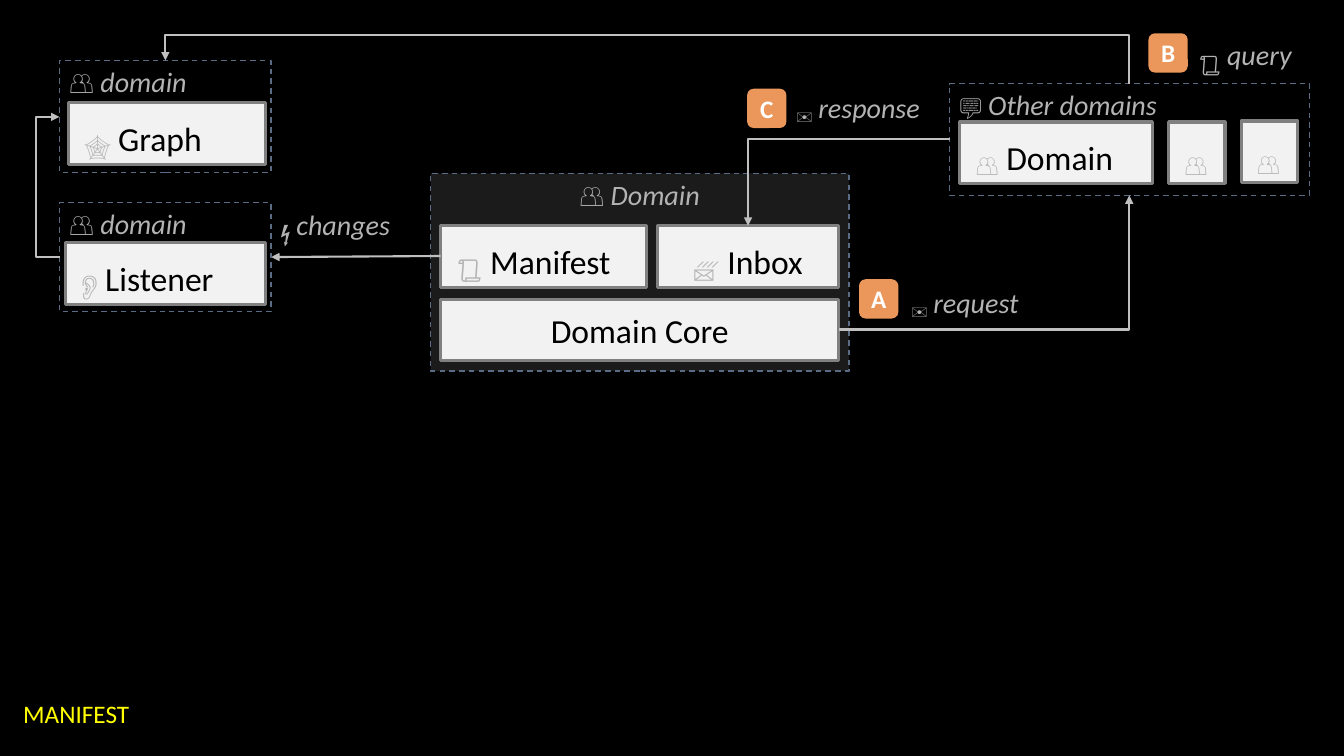
from lxml import etree
from pptx import Presentation
from pptx import util as u
from pptx.dml.color import RGBColor
from pptx.enum import dml, shapes, text
from pptx.oxml import ns

COLORS = {
    "background": "000000", "tile": "F2F2F2", "tile_edge": "808080",
    "zone_edge": "5A6B86", "core_zone": "808080", "muted": "B3B3B3",
    "ink": "000000", "arrow": "BFBFBF", "badge": "EB975C",
    "light": "FFFFFF", "title": "FFFF00",
}
FONT = "Calibri"
LEFT, CENTER = text.PP_ALIGN.LEFT, text.PP_ALIGN.CENTER
TOP, MIDDLE = text.MSO_ANCHOR.TOP, text.MSO_ANCHOR.MIDDLE


def rgb(name):
    return RGBColor.from_string(COLORS[name])


def sub(parent, tag, **attributes):
    return etree.SubElement(parent, ns.qn(tag), attributes)


def write(frame, pieces, align=LEFT, anchor=TOP, insets=(0.1, 0.05, 0.1, 0.05), wrap=True):
    frame.word_wrap = wrap
    frame.vertical_anchor = anchor
    (frame.margin_left, frame.margin_top,
     frame.margin_right, frame.margin_bottom) = map(u.Inches, insets)
    paragraph = frame.paragraphs[0]
    paragraph.alignment = align
    for words, size, color, style in pieces:
        run = paragraph.add_run()
        run.text = words
        run.font.name = FONT
        run.font.size = u.Pt(size)
        run.font.color.rgb = rgb(color)
        run.font.italic = style == "italic"
        run.font.bold = style == "bold"
        if isinstance(style, int):
            run.font._element.set("baseline", str(style * 1000))


def box(parent, place, fill=None, edge=None, width=1, kind=shapes.MSO_SHAPE.RECTANGLE):
    outline = parent.add_shape(kind, *map(u.Inches, place))
    outline.shadow.inherit = False
    if fill:
        outline.fill.solid()
        outline.fill.fore_color.rgb = rgb(fill)
    else:
        outline.fill.background()
    if edge:
        outline.line.color.rgb = rgb(edge)
        outline.line.width = u.Pt(width)
    else:
        outline.line.fill.background()
    return outline


def zone(parent, place, icon, caption, icon_size=20, align=LEFT, fill=None, opacity=None):
    frame = box(parent, place, fill, "zone_edge")
    frame.line.dash_style = dml.MSO_LINE.DASH
    if opacity:
        tint = frame.element.spPr.find(ns.qn("a:solidFill"))[0]
        sub(tint, "a:alpha", val=str(opacity * 1000))
    write(frame.text_frame,
          [(icon, icon_size, "muted", None), (caption, 20, "muted", "italic")],
          align, insets=(0.1, 0.04, 0.1, 0.05))


def tile(parent, left, top, width, caption, icon=None, align=LEFT):
    card = box(parent, (left, top, width, 0.61), "tile", "tile_edge", 2.25)
    pieces = [(icon, 32, "muted", -9)] if icon else []
    pieces.append((caption, 24, "ink", None))
    write(card.text_frame, pieces, align, MIDDLE, (0.16,) * 4)


def badge(parent, left, top, letter):
    mark = box(parent, (left, top, 0.39, 0.39), "badge",
               kind=shapes.MSO_SHAPE.ROUNDED_RECTANGLE)
    write(mark.text_frame, [(letter, 18, "light", "bold")], CENTER, MIDDLE, (0.05,) * 4)


def message(parent, left, top, width, icon, caption):
    label = parent.add_textbox(*map(u.Inches, (left, top, width, 0.44)))
    write(label.text_frame,
          [(icon, 28, "muted", -17), (" ", 18, "light", None),
           (caption, 20, "muted", "italic")], anchor=MIDDLE)
    label.text_frame.auto_size = text.MSO_AUTO_SIZE.SHAPE_TO_FIT_TEXT


def arrow(parent, start, end, preset="line", bend=None, rotation=0):
    kind = shapes.MSO_CONNECTOR.STRAIGHT if preset == "line" else shapes.MSO_CONNECTOR.ELBOW
    link = parent.add_connector(kind, *map(u.Inches, start + end))
    link.line.color.rgb = rgb("arrow")
    link.line.width = u.Pt(1.5)
    properties = link.element.spPr
    geometry = properties.find(ns.qn("a:prstGeom"))
    geometry.set("prst", preset)
    if bend is not None:
        guides = geometry.find(ns.qn("a:avLst"))
        sub(guides, "a:gd", name="adj1", fmla=f"val {round(bend * 100000)}")
    if rotation:
        properties.find(ns.qn("a:xfrm")).set("rot", str(rotation * 60000))
    sub(properties.find(ns.qn("a:ln")), "a:tailEnd", type="triangle")
    sub(properties, "a:effectLst")


def side_loop(parent, start, end, bend_x):
    bend = (bend_x - start[0]) / (end[0] - start[0])
    arrow(parent, start, end, "bentConnector3", bend)


def top_loop(parent, start, end, bend_y):
    center_x, center_y = (start[0] + end[0]) / 2, (start[1] + end[1]) / 2
    half_x, half_y = (start[0] - end[0]) / 2, (start[1] - end[1]) / 2
    bend = (start[1] - bend_y) / (start[1] - end[1])
    arrow(parent, (center_x - half_y, center_y + half_x),
          (center_x + half_y, center_y - half_x), "bentConnector3", bend, 270)


def main():
    deck = Presentation()
    deck.slide_width, deck.slide_height = u.Inches(13.33), u.Inches(7.5)
    slide = deck.slides.add_slide(deck.slide_layouts[6])
    slide.background.fill.solid()
    slide.background.fill.fore_color.rgb = rgb("background")
    canvas = slide.shapes

    core = canvas.add_group_shape().shapes
    zone(core, (4.27, 1.72, 4.15, 1.96), "👥 ", "Domain", align=CENTER,
         fill="core_zone", opacity=21)
    tile(core, 4.37, 2.24, 2.04, " Manifest", "📜")
    tile(canvas, 6.52, 2.24, 1.8, " Inbox", "📨", CENTER)
    tile(canvas, 4.37, 2.97, 3.95, "Domain Core", align=CENTER)
    arrow(canvas, (4.37, 2.54), (2.69, 2.55))

    tile(canvas, 9.52, 1.21, 1.91, " Domain", "👥")
    zone(canvas, (9.42, 0.83, 3.57, 1.11), "💬", " Other domains", icon_size=16)
    for left, top in ((11.59, 1.21), (12.31, 1.2)):
        tile(canvas, left, top, 0.56, " ", "👥")
    arrow(canvas, (9.42, 1.38), (7.42, 2.24), "bentConnector2")
    arrow(canvas, (8.32, 3.27), (11.2, 1.94), "bentConnector2")

    graph = canvas.add_group_shape().shapes
    tile(graph, 0.68, 1.02, 1.95, " Graph", "🕸")
    zone(graph, (0.59, 0.6, 2.1, 1.11), "👥 ", "domain")
    top_loop(canvas, (11.2, 0.83), (1.64, 0.6), 0.35)

    for letter, left, top in (("A", 8.52, 2.77), ("B", 11.39, 0.33), ("C", 7.41, 0.88)):
        badge(canvas, left, top, letter)
    for left, top, width, icon, caption in (
        (2.68, 1.98, 2.56, "⚡", "changes"),
        (8.94, 2.75, 2.28, "✉️", "request"),
        (7.8, 0.82, 2.28, "✉️", "response"),
        (11.79, 0.29, 1.3, "📜", "query"),
    ):
        message(canvas, left, top, width, icon, caption)

    title = canvas.add_textbox(*map(u.Inches, (0.23, 6.88, 1.19, 0.4)))
    write(title.text_frame, [("MANIFEST", 18, "title", None)],
          insets=(0, 0.05, 0, 0.05), wrap=False)
    title.text_frame.auto_size = text.MSO_AUTO_SIZE.SHAPE_TO_FIT_TEXT

    listener = canvas.add_group_shape().shapes
    zone(listener, (0.59, 2.01, 2.1, 1.08), "👥 ", "domain", fill="background")
    tile(listener, 0.65, 2.41, 1.98, " Listener", "👂")
    side_loop(canvas, (0.6, 2.55), (0.59, 1.16), 0.35)

    deck.save("out.pptx")


if __name__ == "__main__":
    main()
